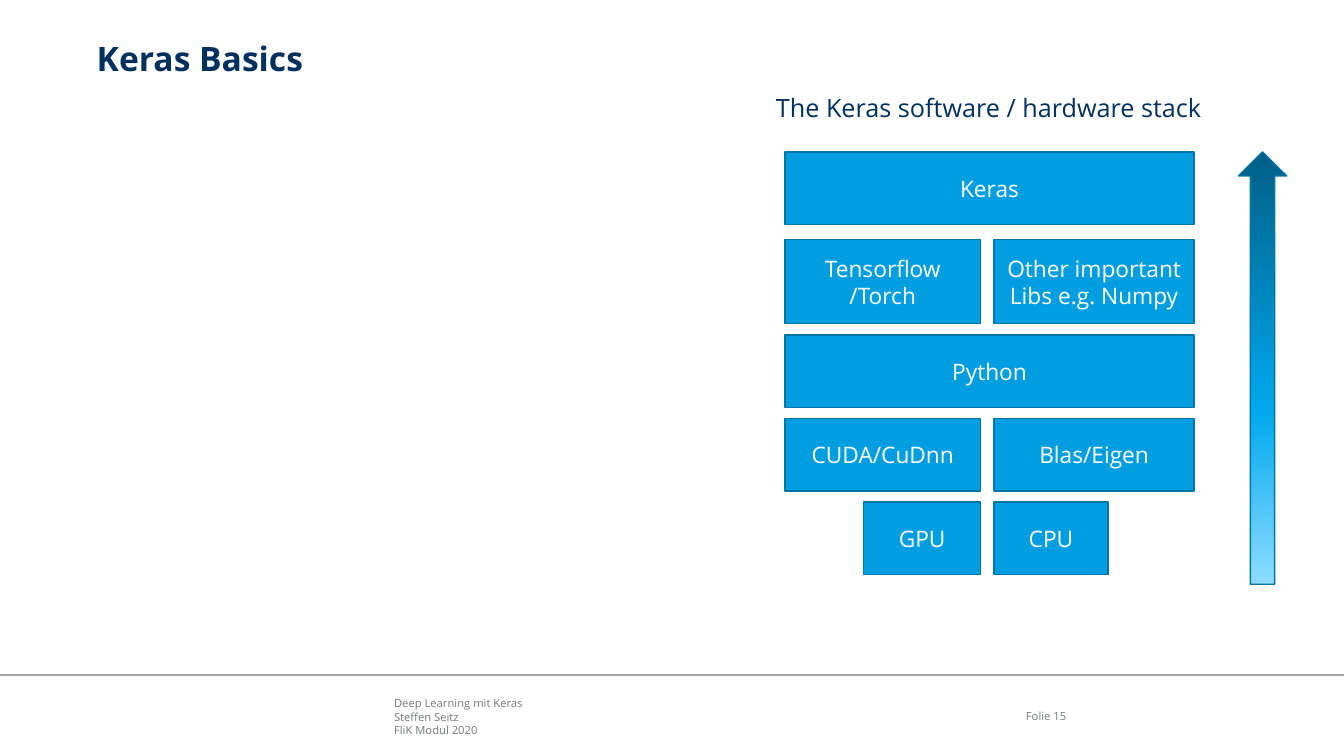
from copy import deepcopy
from pptx import Presentation
from pptx.dml.color import RGBColor
from pptx.enum.shapes import MSO_CONNECTOR, MSO_SHAPE
from pptx.enum.text import MSO_ANCHOR, PP_ALIGN
from pptx.oxml.ns import qn
from pptx.util import Pt

RECT, UP_ARROW = MSO_SHAPE.RECTANGLE, MSO_SHAPE.UP_ARROW
TOP, MIDDLE = MSO_ANCHOR.TOP, MSO_ANCHOR.MIDDLE
LEFT, CENTER, RIGHT = PP_ALIGN.LEFT, PP_ALIGN.CENTER, PP_ALIGN.RIGHT
NAVY, BLUE, EDGE, GREY = "00305E", "009EE0", "0075A6", "727879"


def color(value):
    return RGBColor.from_string(value)


def write(s, lines, size, ink, align=LEFT, anchor=TOP, bold=False, inset=None):
    tf = s.text_frame
    tf.word_wrap = True
    tf.vertical_anchor = anchor
    if inset is not None:
        for side in ("left", "top", "right", "bottom"):
            setattr(tf, f"margin_{side}", Pt(inset))
    for i, line in enumerate(lines):
        p = tf.add_paragraph() if i else tf.paragraphs[0]
        p.alignment = align
        r = p.add_run()
        r.text = line
        font = {"name": "Open Sans", "size": Pt(size), "bold": bold}
        for key, value in font.items():
            setattr(r.font, key, value)
        r.font.color.rgb = color(ink)


prs = Presentation()
prs.slide_width, prs.slide_height = Pt(960), Pt(540)
slide = prs.slides.add_slide(prs.slide_layouts[6])

rule = slide.shapes.add_connector(MSO_CONNECTOR.STRAIGHT, Pt(0), Pt(482.2), Pt(960), Pt(482.2))
rule.line.color.rgb = color("A6A6A6")
rule.line.width = Pt(1)
rule._element.spPr.append(rule._element.makeelement(qn("a:effectLst"), {}))

footer = ["Deep Learning mit Keras", "Steffen Seitz", "FliK Modul 2020"]
stack_title = ["The Keras software / hardware stack"]
texts = [
    ((69.1, 27.4, 833, 54), ["Keras Basics"], dict(size=24, ink=NAVY, bold=True, inset=0)),
    ((547.2, 62.6, 372.2, 28.8), stack_title, dict(size=18, ink=NAVY)),
    ((281.5, 497.5, 408.2, 28.8), footer,
     dict(size=8, ink=GREY, anchor=MSO_ANCHOR.BOTTOM, inset=0)),
    ((706.3, 496.8, 55.4, 28.8), ["Folie 15"],
     dict(size=8, ink=GREY, align=RIGHT, anchor=MIDDLE, inset=0)),
]
for box, lines, style in texts:
    write(slide.shapes.add_textbox(*map(Pt, box)), lines, **style)

left, mid_left, mid_right, right = 560.7, 700.4, 710, 853
stack = [
    (108.6, 52, [(left, right, ["Keras"])]),
    (171.1, 60, [(left, mid_left, ["Tensorflow", "/Torch"]),
                 (mid_right, right, ["Other important Libs e.g. Numpy"])]),
    (239.2, 52, [(left, right, ["Python"])]),
    (298.9, 52, [(left, mid_left, ["CUDA/CuDnn"]), (mid_right, right, ["Blas/Eigen"])]),
    (358.5, 52, [(617, mid_left, ["GPU"]), (mid_right, 791.4, ["CPU"])]),
]
for top, height, blocks in stack:
    for x1, x2, lines in blocks:
        s = slide.shapes.add_shape(RECT, Pt(x1), Pt(top), Pt(x2 - x1), Pt(height))
        s.shadow.inherit = False
        s.fill.solid()
        s.fill.fore_color.rgb = color(BLUE)
        s.line.color.rgb = color(EDGE)
        s.line.width = Pt(1)
        write(s, lines, 16.2, "FFFFFF", CENTER, MIDDLE)

arrow = slide.shapes.add_shape(UP_ARROW, Pt(884.5), Pt(108.4), Pt(34.6), Pt(308.9))
arrow.shadow.inherit = False
arrow.line.color.rgb = color(EDGE)
arrow.line.width = Pt(1)
arrow.fill.gradient()
arrow.fill.gradient_angle = 270
stops = arrow._element.spPr.find(".//" + qn("a:gsLst"))
stops.append(deepcopy(stops[0]))
shades = [(0, "005F86"), (0.6, "00A8EE"), (1, "8DDDFF")]
for stop, (position, shade) in zip(arrow.fill.gradient_stops, shades):
    stop.position = position
    stop.color.rgb = color(shade)

prs.save("out.pptx")
